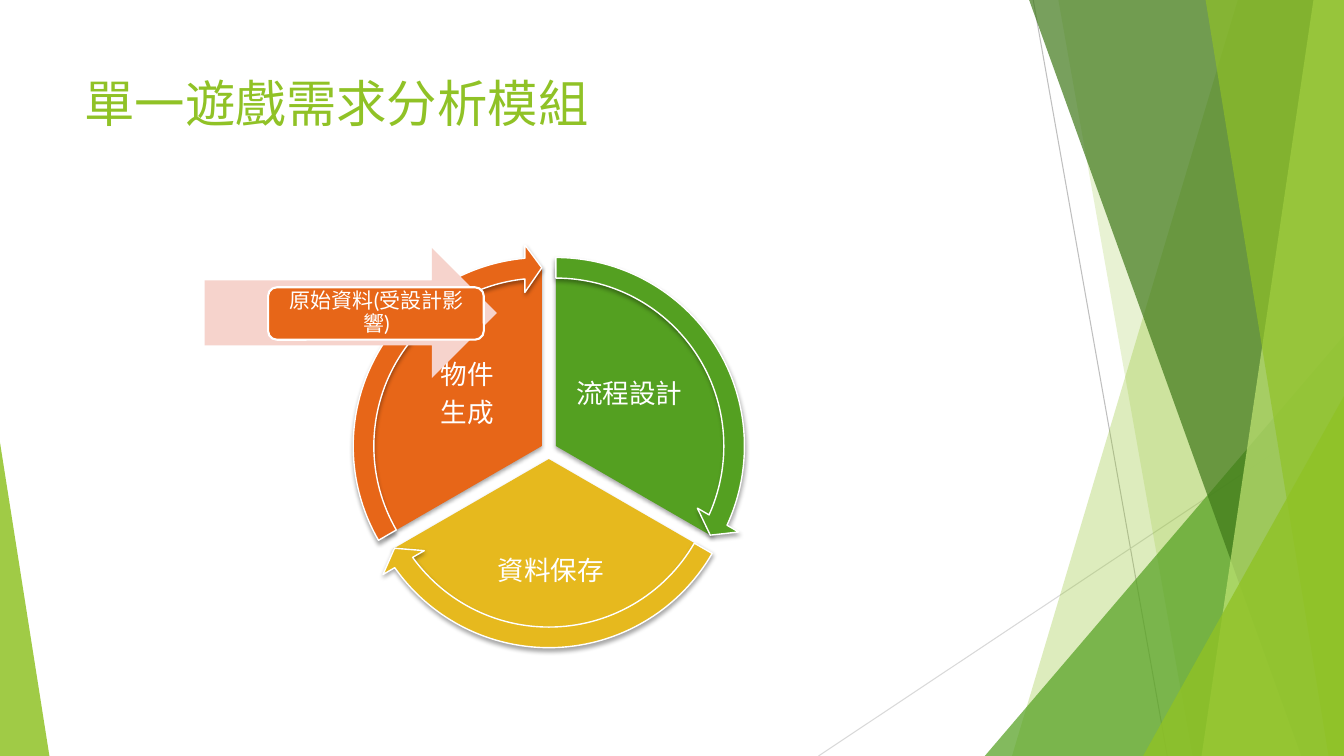
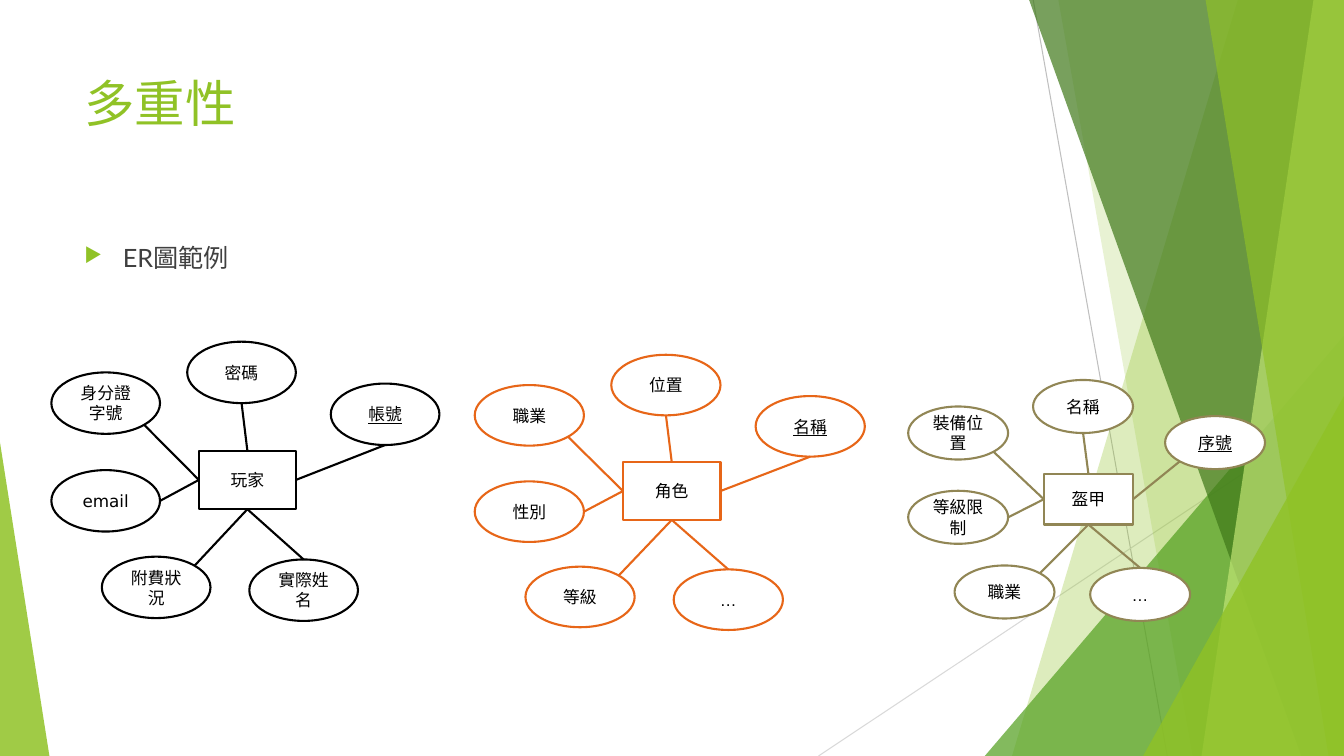
from math import cos, radians, sin

from lxml.etree import SubElement
from pptx import Presentation
from pptx.dml.color import RGBColor
from pptx.enum.shapes import MSO_CONNECTOR, MSO_SHAPE as Preset
from pptx.enum.text import MSO_ANCHOR as Anchor, PP_ALIGN as Align
from pptx.oxml.ns import qn
from pptx.util import Emu, Inches, Pt

CELL = Inches(0.1)
COLS, ROWS = 133.33, 75
COLORS = {
    "lime": "90C226", "green": "54A021", "forest": "3F7819", "pale": "C0E474",
    "gold": "E6B91E", "orange": "E76618", "pink": "F6D3CC", "olive": "918655",
    "white": "FFFFFF", "black": "000000", "body": "404040",
    "rule": "BFBFBF", "faint": "D9D9D9",
}
HEADING, LABEL = "Lato", "DejaVu Sans"

PIE_SIZE, RING_GAP = 35.7, 2.2
SECTORS = [
    ("流程設計", "green", (37.3, 26.4), (162, 18), (14.725, 161.994), (18.8, 7.5, 12.7, 10.6)),
    ("資料保存", "gold", (36.6, 27.7), (18, 90), (86.72, 18.005), (8.5, 24.4, 19.1, 9.3)),
    ("物件\n生成", "orange", (35.9, 26.4), (90, 162), (158.73, 90), (4.1, 7.5, 12.7, 10.6)),
]

ENTITY_SHARE = (0.38, 0.39, 0.25, 0.21)
OVAL_SHARE = (0.28, 0.22)
ATTRIBUTES = [
    ((0.72, 0.15), (1, 0), 90),
    ((0.35, 0), (0, -1), 90),
    ((0, 0.11), (-1, 0), 45),
    ((0, 0.46), (-1, 0), 0),
    ((0.13, 0.77), (0, 1), -45),
    ((0.51, 0.78), (0, 1), -90),
]
ENTITIES = [
    ("玩家", "black", (5.1, 33.9, 38.5, 27.7), 90,
     ["帳號", "密碼", "身分證字號", "email", "附費狀況", "實際姓名"]),
    ("角色", "orange", (47.1, 35.2, 38.7, 27.3), 90,
     ["名稱", "位置", "職業", "性別", "等級", "…"]),
    ("盔甲", "olive", (90.1, 37.7, 35.4, 23.9), 135,
     ["序號", "名稱", "裝備位置", "等級限制", "職業", "…"]),
]


def cells(*counts):
    """Turn counts of grid cells into lengths."""
    return [Emu(round(count * CELL)) for count in counts]


def rgb(name):
    """Look up a named colour."""
    return RGBColor.from_string(COLORS[name])


def write(shape, text, size=12, color="black", font=LABEL, align=Align.CENTER,
          anchor=Anchor.MIDDLE, inset=None, underline=False, spacing=None, after=None):
    """Fill a shape with formatted text, one paragraph a line."""
    frame = shape.text_frame
    frame.word_wrap, frame.vertical_anchor = True, anchor
    if inset is not None:
        frame.margin_left = frame.margin_right = Inches(inset)
        frame.margin_top = frame.margin_bottom = Inches(inset)
    for index, line in enumerate(text.split("\n")):
        paragraph = frame.add_paragraph() if index else frame.paragraphs[0]
        paragraph.alignment, paragraph.line_spacing = align, spacing
        if after:
            paragraph.space_after = Pt(after)
        run = paragraph.add_run()
        run.text = line
        run.font.size, run.font.name = Pt(size), font
        run.font.underline = underline or None
        run.font.color.rgb = rgb(color)
    return frame


def text_box(slide, box, text, **look):
    """Place text without an outline."""
    return write(slide.shapes.add_textbox(*cells(*box)), text, **look)


def paint(shape, fill, opacity=100, line=None, width=1, shadow=False):
    """Set the fill, line and shadow of a shape."""
    shape.fill.solid()
    shape.fill.fore_color.rgb = rgb(fill)
    if opacity < 100:
        tint = shape.element.spPr.find(qn("a:solidFill"))[0]
        SubElement(tint, qn("a:alpha"), val=str(opacity * 1000))
    if line:
        shape.line.color.rgb = rgb(line)
        shape.line.width = Pt(width)
    else:
        shape.line.fill.background()
    shape.shadow.inherit = False
    if shadow:
        effects = shape.element.spPr.find(qn("a:effectLst"))
        cast = SubElement(effects, qn("a:outerShdw"), blurRad=str(Pt(3)), dist=str(Pt(2)),
                          dir="5400000", algn="ctr", rotWithShape="0")
        shade = SubElement(cast, qn("a:srgbClr"), val=COLORS["black"])
        SubElement(shade, qn("a:alpha"), val="35000")


def preset(slide, kind, box, fill, adjust=(), **look):
    """Add a painted preset shape."""
    shape = slide.shapes.add_shape(kind, *cells(*box))
    for index, value in enumerate(adjust):
        shape.adjustments[index] = value
    paint(shape, fill, **look)
    return shape


def link(slide, start, end, color, width):
    """Draw a straight line between two points."""
    line = slide.shapes.add_connector(MSO_CONNECTOR.STRAIGHT, *cells(*start, *end))
    line.line.color.rgb = rgb(color)
    line.line.width = Pt(width)
    SubElement(line.element.spPr, qn("a:effectLst"))


def band(slide, top, bottom, color, opacity):
    """Fill from a slanted edge to the right side of the slide."""
    start, *corners = [cells(*point) for point in
                       ((top, 0), (COLS, 0), (COLS, ROWS), (bottom, ROWS))]
    outline = slide.shapes.build_freeform(*start, scale=1.0)
    outline.add_line_segments(corners, close=True)
    paint(outline.convert_to_shape(), color, opacity)


def wedge(slide, left, top, width, lean, color, opacity):
    """Stand a right triangle on the bottom of the slide."""
    preset(slide, Preset.ISOSCELES_TRIANGLE, (left, top, width, ROWS - top),
           color, [lean], opacity=opacity)


def titled_slide(deck, title):
    """Add a slide with the shared backdrop and title."""
    slide = deck.slides.add_slide(deck.slide_layouts[6])
    link(slide, (102.5, 0), (115.8, ROWS), "rule", 0.75)
    link(slide, (COLS, 40.3), (81.2, ROWS), "faint", 0.75)
    band(slide, 122.8, 100.4, "lime", 30)
    band(slide, 105, 118.3, "lime", 20)
    wedge(slide, 97.7, 33.3, COLS - 97.7, 1, "green", 72)
    band(slide, 102.1, 129.1, "forest", 70)
    band(slide, 130.3, 119.2, "pale", 70)
    band(slide, 119.6, 131.8, "lime", 65)
    wedge(slide, 113.4, 39.3, COLS - 113.4, 1, "lime", 80)
    wedge(slide, 0, 43.9, 4.9, 0, "lime", 85)
    text_box(slide, (7.4, 6.7, 94, 14.4), title, size=36, color="lime", font=HEADING,
             align=Align.LEFT, anchor=Anchor.TOP)
    return slide


def cycle(slide):
    """Draw the sectors of the cycle and the arrows around them."""
    for name, color, (left, top), angles, _, (dx, dy, width, height) in SECTORS:
        preset(slide, Preset.PIE, (left, top, PIE_SIZE, PIE_SIZE), color, angles, shadow=True)
        text_box(slide, (left + dx, top + dy, width, height), name, size=19, color="white",
                 font=HEADING, inset=0.03, spacing=0.9, after=6.65)
    ring = PIE_SIZE + 2 * RING_GAP
    for _, color, (left, top), _, sweep, _ in SECTORS:
        preset(slide, Preset.CIRCULAR_ARROW, (left - RING_GAP, top - RING_GAP, ring, ring),
               color, (0.051, 3.275, *sweep, 0.059), line="white", shadow=True)


def raw_data_input(slide):
    """Draw the arrow that feeds raw data into the cycle."""
    preset(slide, Preset.RIGHT_ARROW, (20.3, 24.6, 29, 12.9), "pink")
    preset(slide, Preset.ROUNDED_RECTANGLE, (26.6, 28.5, 21.4, 5.2), "orange",
           line="white", width=1.5)
    text_box(slide, (26.9, 28.7, 20.9, 4.7), "原始資料(受設計影響)", size=15, color="white",
             font=HEADING, inset=0.06, spacing=0.9, after=5.25)


def bullet(slide, box, text):
    """Write a line with a triangle bullet."""
    frame = text_box(slide, box, text, size=18, color="body", font=HEADING,
                     align=Align.LEFT, anchor=Anchor.TOP)
    layout = frame.paragraphs[0]._p.get_or_add_pPr()
    layout.set("marL", str(Inches(0.38)))
    layout.set("indent", str(-Inches(0.38)))
    tint = SubElement(layout, qn("a:buClr"))
    SubElement(tint, qn("a:srgbClr"), val=COLORS["lime"])
    SubElement(layout, qn("a:buSzPct"), val="80000")
    SubElement(layout, qn("a:buChar"), char="▶")


def rim(box, across, down):
    """Find a point from the centre of a box, in half widths and half heights."""
    left, top, width, height = box
    return left + width * (1 + across) / 2, top + height * (1 + down) / 2


def entity(slide, name, color, area, key_angle, attributes):
    """Draw an entity with its attributes, the key first and underlined."""
    left, top, width, height = area

    def within(x, y, w, h):
        """Scale shares of the area to cells."""
        return left + x * width, top + y * height, w * width, h * height

    def node(kind, box, text, **look):
        """Draw an outlined node with a label."""
        shape = preset(slide, kind, box, "white", line=color, width=1.5)
        write(shape, text, font="Arial" if text == "…" else LABEL, **look)

    core = within(*ENTITY_SHARE)
    node(Preset.RECTANGLE, core, name)
    for index, (text, (corner, side, angle)) in enumerate(zip(attributes, ATTRIBUTES)):
        is_key = index == 0
        oval = within(*corner, *OVAL_SHARE)
        node(Preset.OVAL, oval, text, underline=is_key)
        turn = radians(key_angle if is_key else angle)
        link(slide, rim(core, *side), rim(oval, cos(turn), sin(turn)), color, 1.5)


def main():
    """Build and save the slides."""
    deck = Presentation()
    deck.slide_width, deck.slide_height = cells(COLS, ROWS)
    analysis = titled_slide(deck, "單一遊戲需求分析模組")
    cycle(analysis)
    raw_data_input(analysis)
    multiplicity = titled_slide(deck, "多重性")
    bullet(multiplicity, (7.4, 23.6, 94, 42.4), "ER圖範例")
    for details in ENTITIES:
        entity(multiplicity, *details)
    deck.save("out.pptx")


if __name__ == "__main__":
    main()
